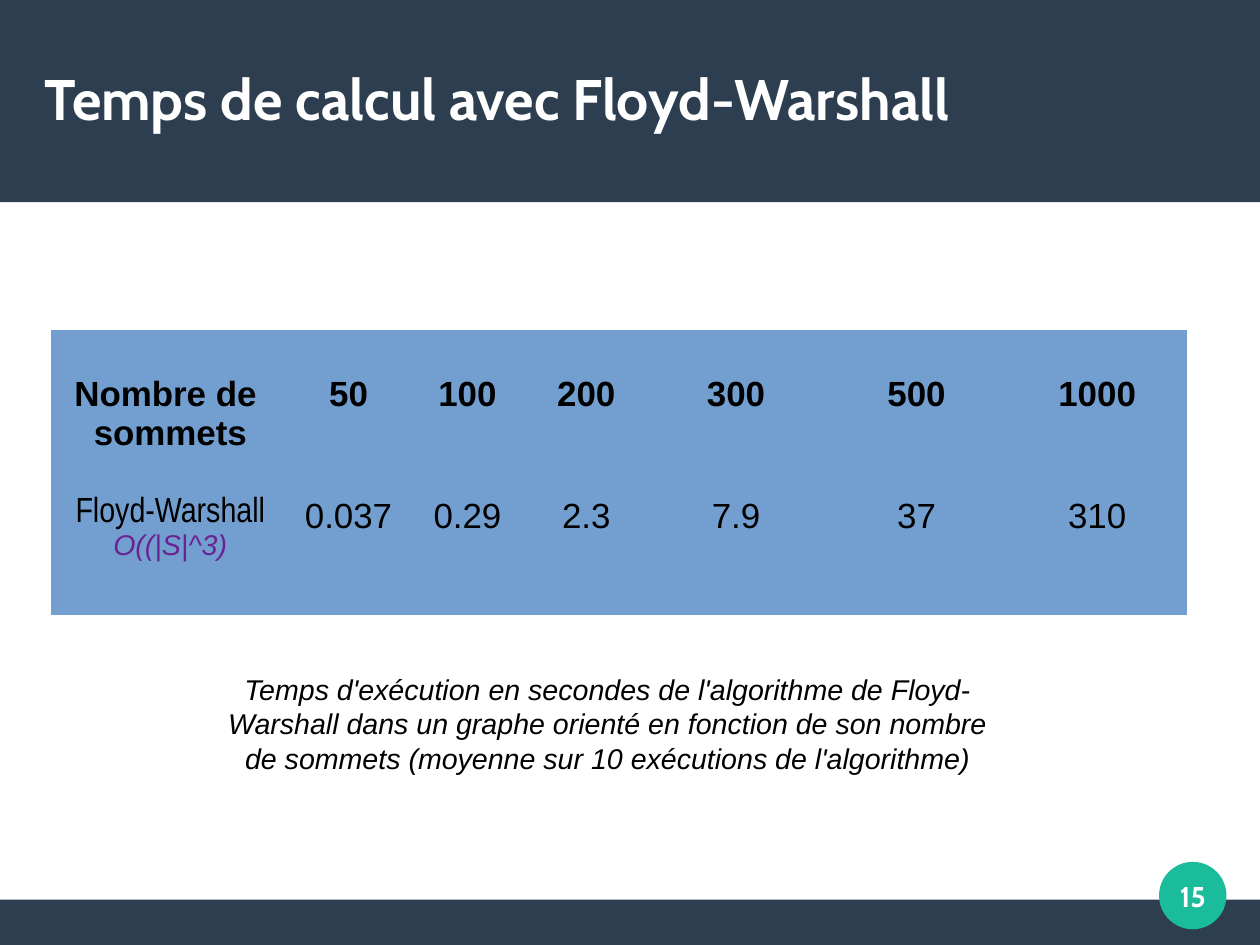
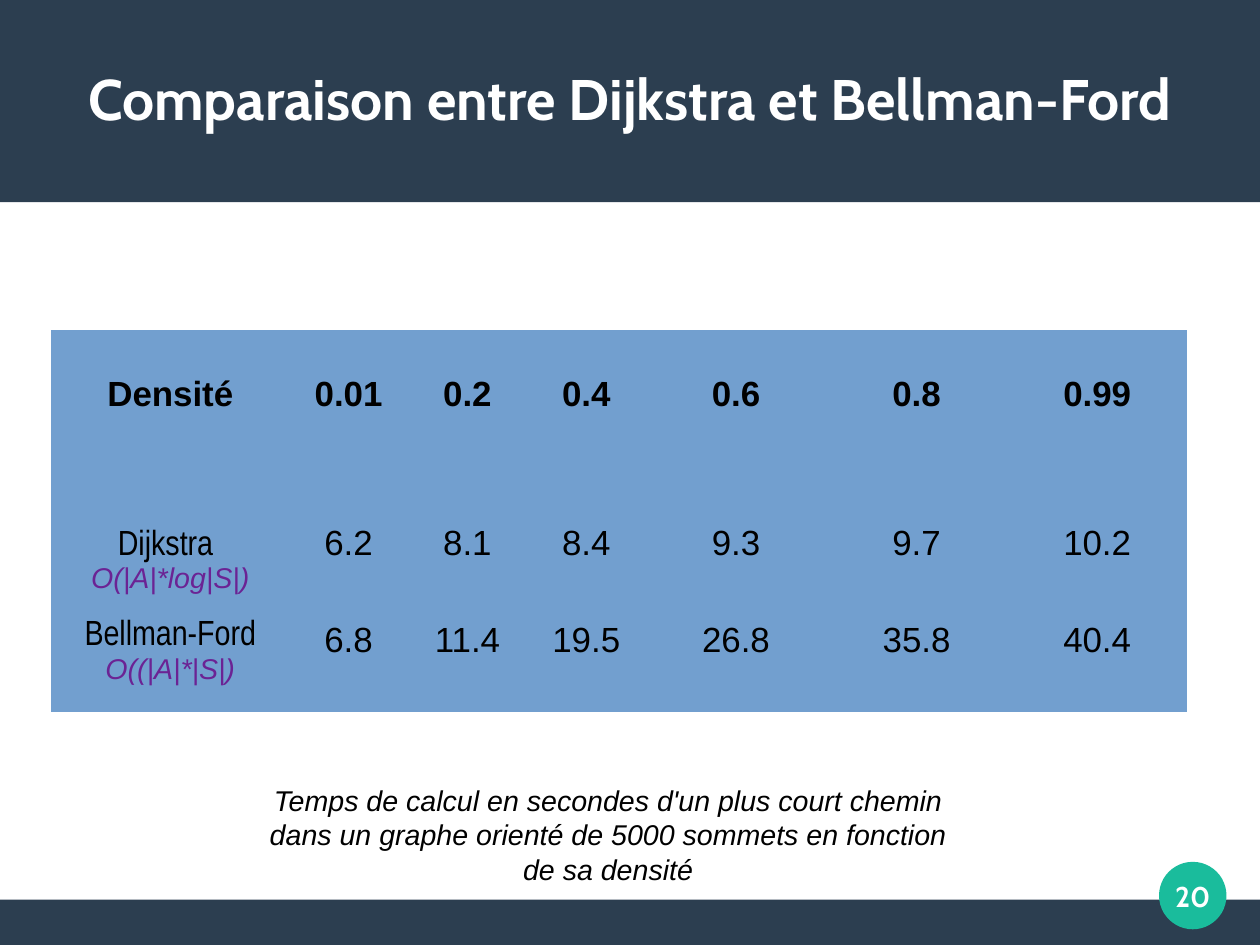
from dataclasses import dataclass

from pptx import Presentation
from pptx.dml.color import RGBColor
from pptx.enum.shapes import MSO_SHAPE as Kind
from pptx.enum.text import MSO_ANCHOR as Anchor, MSO_AUTO_SIZE as Fit, PP_ALIGN as Align
from pptx.oxml.ns import qn
from pptx.util import Inches, Pt

HUES = {
    "navy": "2C3E50",
    "teal": "1ABC9C",
    "blue": "729FCF",
    "plum": "6B2394",
    "black": "000000",
    "white": "FFFFFF",
}
WIDTH, HEIGHT = 28 / 2.54, 21 / 2.54
COLS = [2.08] + [1.04] * 3 + [1.58] * 3
PLAIN = "{2D5ABB26-0587-4C30-8999-92F81FD0307C}"


@dataclass(frozen=True)
class Style:
    size: float
    font: str = "Arial"
    hue: str = "black"
    bold: bool = False
    slant: bool = False


TITLE = Style(36, "Cabin", "white", bold=True)
NUMBER = Style(18, "Cabin", "white", bold=True)
HEAD = Style(22, bold=True)
NAME = Style(22, "Arial Narrow")
COST = Style(18, hue="plum", slant=True)
VALUE = Style(22)
NOTE = Style(18, slant=True)

Line = list[tuple[str, Style]]


@dataclass(frozen=True)
class Box:
    left: float
    top: float
    width: float
    height: float

    def place(self) -> tuple:
        return tuple(Inches(n) for n in (self.left, self.top, self.width, self.height))


@dataclass(frozen=True)
class Part:
    kind: Kind
    box: Box
    hue: str


@dataclass(frozen=True)
class Row:
    name: Line
    cost: str
    height: float
    values: list[str]


@dataclass(frozen=True)
class Page:
    title: str
    align: Align
    number: str
    label: list[str]
    top: float
    heads: list[str]
    rows: list[Row]
    note: str
    spot: Box


PARTS = [
    Part(Kind.RECTANGLE, Box(0, 7.87, WIDTH, HEIGHT - 7.87), "navy"),
    Part(Kind.RECTANGLE, Box(0, 0, WIDTH, 1.77), "navy"),
    Part(Kind.OVAL, Box(10.14, 7.54, 0.59, 0.59), "teal"),
]

PAGES = [
    Page(
        "Temps de calcul avec Floyd-Warshall", Align.LEFT, "15",
        ["Nombre de ", "sommets"], 1.41,
        ["50", "100", "200", "300", "500", "1000"],
        [Row([("Floyd-Warshall", NAME)], "O((|S|^3)", 1.08,
             ["0.037", "0.29", "2.3", "7.9", "37", "310"])],
        "Temps d'exécution en secondes de l'algorithme de Floyd-Warshall dans un "
        "graphe orienté en fonction de son nombre de sommets (moyenne sur 10 "
        "exécutions de l'algorithme)",
        Box(1.81, 5.83, 7.01, 1.27),
    ),
    Page(
        "Comparaison entre Dijkstra et Bellman-Ford", Align.CENTER, "20",
        ["Densité"], 1.64,
        ["0.01", "0.2", "0.4", "0.6", "0.8", "0.99"],
        [Row([("Dijkstra", NAME), (" ", VALUE)], "O(|A|*log|S|)", 0.85,
             ["6.2", "8.1", "8.4", "9.3", "9.7", "10.2"]),
         Row([("Bellman-Ford", NAME)], "O((|A|*|S|)", 0.85,
             ["6.8", "11.4", "19.5", "26.8", "35.8", "40.4"])],
        "Temps de calcul en secondes d'un plus court chemin dans un graphe orienté "
        "de 5000 sommets en fonction de sa densité",
        Box(2.13, 6.8, 6.38, 1.15),
    ),
]


def shade(item, hue: str) -> None:
    item.fill.solid()
    item.fill.fore_color.rgb = RGBColor.from_string(HUES[hue])


def write(frame, lines: list[Line], align: Align = Align.CENTER) -> None:
    for i, line in enumerate(lines):
        para = frame.add_paragraph() if i else frame.paragraphs[0]
        para.alignment = align
        for text, style in line:
            run = para.add_run()
            run.text = text
            font = run.font
            font.name, font.size = style.font, Pt(style.size)
            font.bold, font.italic = style.bold, style.slant
            font.color.rgb = RGBColor.from_string(HUES[style.hue])


def setup(frame, anchor: Anchor, fit: Fit, side: float, edge: float) -> None:
    frame.word_wrap = True
    frame.auto_size = fit
    frame.vertical_anchor = anchor
    frame.margin_left = frame.margin_right = Inches(side)
    frame.margin_top = frame.margin_bottom = Inches(edge)


def frame_deck(slide) -> None:
    tree = slide.slide_layout.shapes._spTree
    for i, part in enumerate(PARTS):
        shape = slide.shapes.add_shape(part.kind, *part.box.place())
        shape.shadow.inherit = False
        shade(shape, part.hue)
        shape.line.fill.background()
        tree.insert(2 + i, shape._element)


def fill_cell(cell, lines: list[Line], top: float) -> None:
    shade(cell, "blue")
    cell.margin_top = Inches(top)
    write(cell.text_frame, lines)


def draw_grid(slide, page: Page) -> None:
    highs = [page.top] + [row.height for row in page.rows]
    box = Box(0.45, 2.89, sum(COLS), sum(highs))
    grid = slide.shapes.add_table(len(highs), len(COLS), *box.place()).table
    grid.first_row = grid.horz_banding = False
    grid._tbl.tblPr.find(qn("a:tableStyleId")).text = PLAIN
    for col, width in zip(grid.columns, COLS):
        col.width = Inches(width)
    for row, high in zip(grid.rows, highs):
        row.height = Inches(high)
    cells = [[[[(text, HEAD)] for text in page.label]] + [[[(head, HEAD)]] for head in page.heads]]
    for row in page.rows:
        cells.append([[row.name, [(row.cost, COST)]]] + [[[(v, VALUE)]] for v in row.values])
    for r, line in enumerate(cells):
        for c, lines in enumerate(line):
            fill_cell(grid.cell(r, c), lines, 0.05 if r else 0.39)


def draw_page(slide, page: Page) -> None:
    title = slide.shapes.title
    title.left, title.top, title.width, title.height = Box(0.39, 0.33, 10.24, 1.05).place()
    setup(title.text_frame, Anchor.MIDDLE, Fit.NONE, 0, 0)
    write(title.text_frame, [[(page.title, TITLE)]], page.align)
    draw_grid(slide, page)
    note = slide.shapes.add_textbox(*page.spot.place()).text_frame
    setup(note, Anchor.TOP, Fit.SHAPE_TO_FIT_TEXT, 0.1, 0.05)
    write(note, [[(page.note, NOTE)]])
    badge = slide.shapes.add_textbox(*Box(10.04, 7.44, 0.79, 0.79).place()).text_frame
    setup(badge, Anchor.MIDDLE, Fit.NONE, 0, 0)
    write(badge, [[(page.number, NUMBER)]])


def main() -> None:
    deck = Presentation()
    deck.slide_width, deck.slide_height = Inches(WIDTH), Inches(HEIGHT)
    shade(deck.slide_master.background, "white")
    slides = [deck.slides.add_slide(deck.slide_layouts[5]) for _ in PAGES]
    frame_deck(slides[0])
    for slide, page in zip(slides, PAGES):
        draw_page(slide, page)
    deck.save("out.pptx")


if __name__ == "__main__":
    main()
